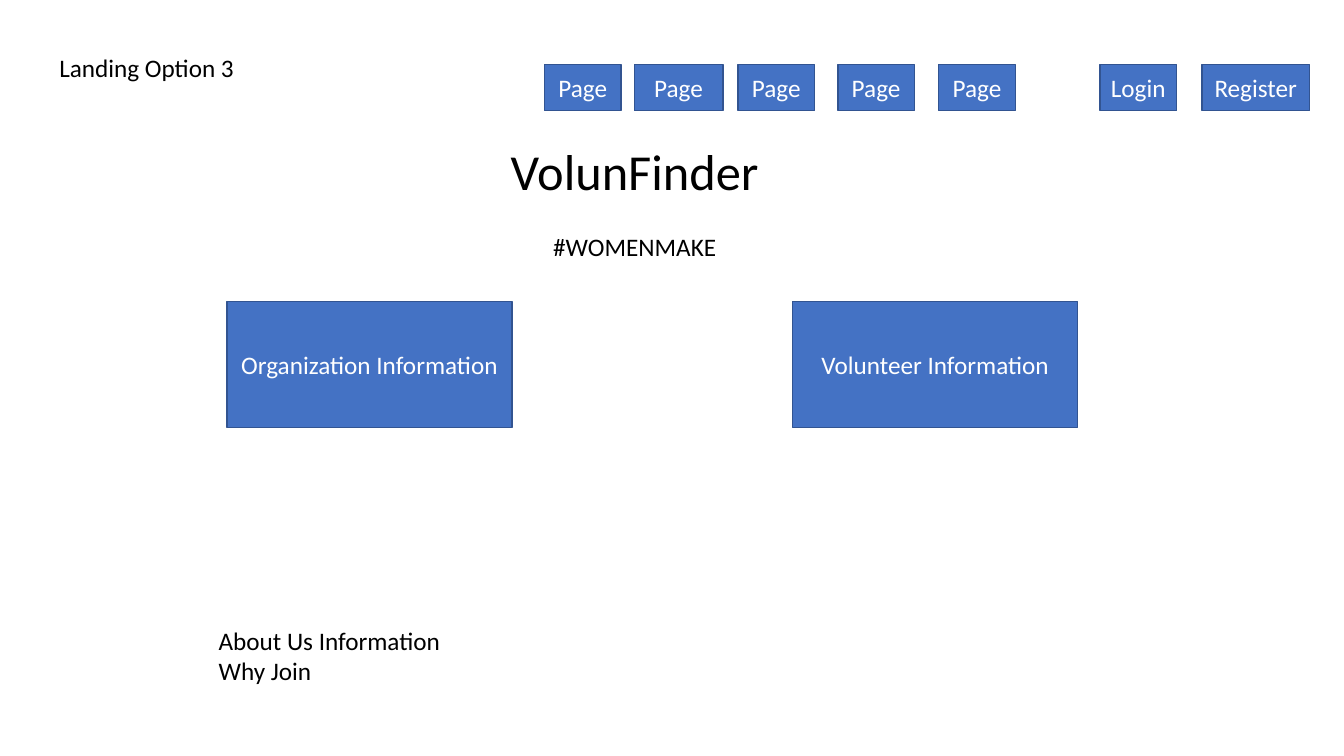
from pptx import Presentation
from pptx import util as u
from pptx.dml.color import RGBColor
from pptx.enum import shapes, text

FONT = "Calibri"
BLUE, EDGE, WHITE, BLACK = "4472C4", "325491", "FFFFFF", "000000"
BODY, TITLE = 18, 36
CENTER, LEFT = text.PP_ALIGN.CENTER, text.PP_ALIGN.LEFT

# label, left, width
NAV_TOP, NAV_HEIGHT, NAV_WIDTH = 0.64, 0.46, 0.76
NAV = [
    ("Page", 5.4, NAV_WIDTH),
    ("Page", 6.29, 0.88),
    ("Page", 7.32, NAV_WIDTH),
    ("Page", 8.31, NAV_WIDTH),
    ("Page", 9.31, NAV_WIDTH),
    ("Login", 10.91, NAV_WIDTH),
    ("Register", 11.92, 1.07),
]

CARD_TOP, CARD_WIDTH, CARD_HEIGHT = 2.99, 2.83, 1.25
CARD_LEFT, CARD_PITCH = 2.25, 5.61
CARDS = ["Organization Information", "Volunteer Information"]

# box, alignment, lines as (text, size, space before)
CAPTIONS = [
    ((0.49, 0.47, 2.09, 0.4), LEFT, [("Landing Option 3", BODY, 0)]),
    ((3.32, 1.34, 5.95, 1.31), CENTER,
     [("VolunFinder", TITLE, 0), ("#WOMENMAKE", BODY, 22)]),
    ((2.07, 6.15, 8.62, 0.71), LEFT,
     [("About Us Information", BODY, 0), ("Why Join", BODY, 0)]),
]


def rgb(value):
    return RGBColor.from_string(value)


def inches(box):
    return [u.Inches(length) for length in box]


def write(paragraph, words, size, color, align):
    paragraph.text = words
    paragraph.alignment = align
    paragraph.font.name = FONT
    paragraph.font.size = u.Pt(size)
    paragraph.font.color.rgb = rgb(color)


def add_button(slide, label, box):
    button = slide.shapes.add_shape(shapes.MSO_SHAPE.RECTANGLE, *inches(box))
    button.shadow.inherit = False
    button.fill.solid()
    button.fill.fore_color.rgb = rgb(BLUE)
    button.line.color.rgb = rgb(EDGE)
    button.line.width = u.Pt(1)
    frame = button.text_frame
    frame.word_wrap = True
    frame.vertical_anchor = text.MSO_ANCHOR.MIDDLE
    write(frame.paragraphs[0], label, BODY, WHITE, CENTER)


def add_caption(slide, box, align, lines):
    frame = slide.shapes.add_textbox(*inches(box)).text_frame
    frame.word_wrap = True
    frame.auto_size = text.MSO_AUTO_SIZE.SHAPE_TO_FIT_TEXT
    for i, (words, size, before) in enumerate(lines):
        paragraph = frame.add_paragraph() if i else frame.paragraphs[0]
        write(paragraph, words, size, BLACK, align)
        if before:
            paragraph.space_before = u.Pt(before)


def main():
    deck = Presentation()
    deck.slide_width, deck.slide_height = inches((13.33, 7.5))
    slide = deck.slides.add_slide(deck.slide_layouts[6])
    for i, label in enumerate(CARDS):
        left = CARD_LEFT + i * CARD_PITCH
        add_button(slide, label, (left, CARD_TOP, CARD_WIDTH, CARD_HEIGHT))
    for label, left, width in NAV:
        add_button(slide, label, (left, NAV_TOP, width, NAV_HEIGHT))
    for box, align, lines in CAPTIONS:
        add_caption(slide, box, align, lines)
    deck.save("out.pptx")


if __name__ == "__main__":
    main()
